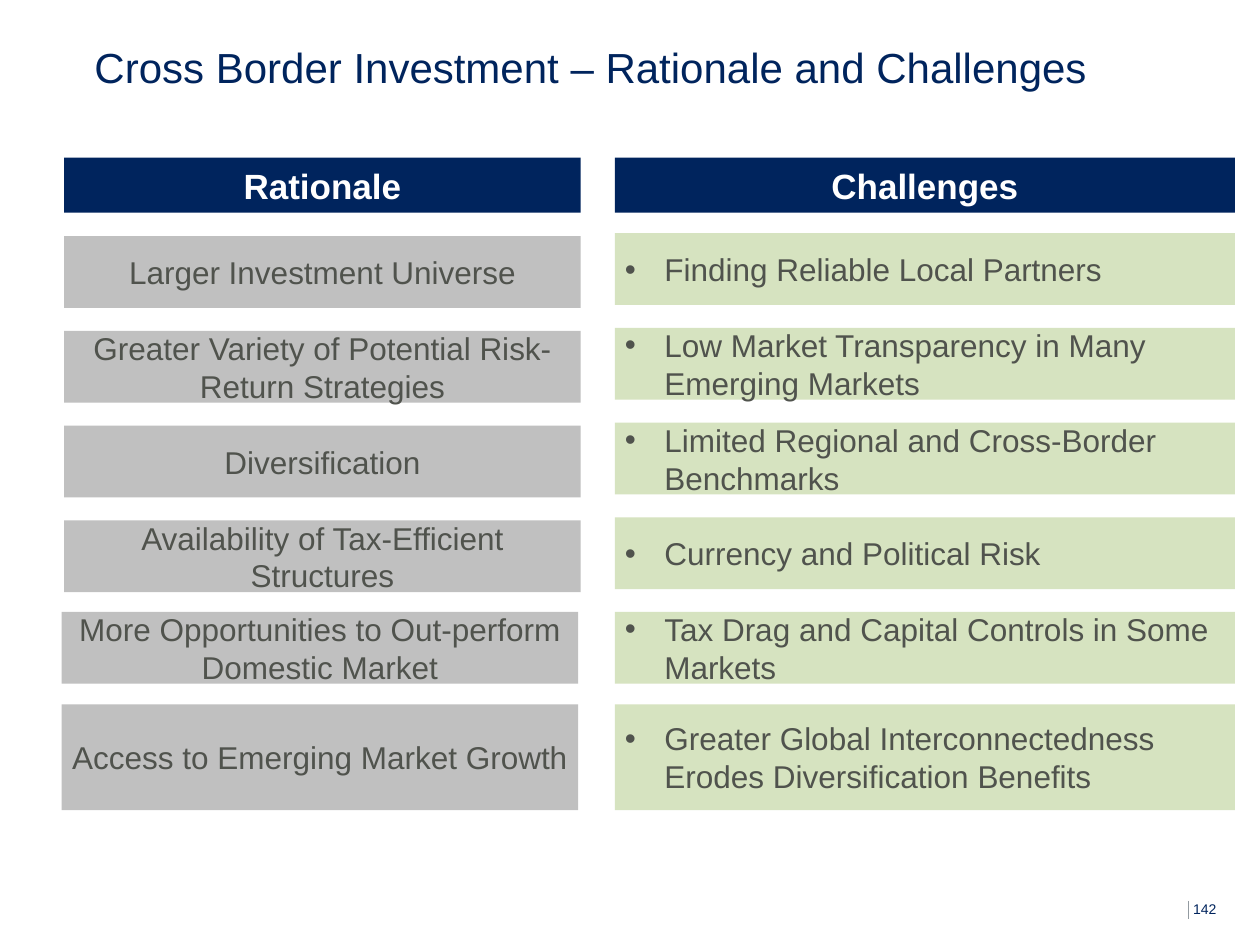
from lxml import etree
from pptx import Presentation
from pptx.dml.color import RGBColor
from pptx.enum import shapes, text
from pptx.oxml.ns import qn
from pptx.util import Pt

NAVY, WHITE, GREY, GREEN = "00245D", "FFFFFF", "C0C0C0", "D6E3C0"
BODY, RULE = "50534D", "939BA1"

LEFT_X, LEFT_WIDTH = 36.7, 295.2
RIGHT_X, RIGHT_WIDTH = 351.4, 354.2
LOWER_LEFT_X = 35.2
ROW_STEP, ROW_HEIGHT, LAST_HEIGHT = 54.15, 41, 60.5
LOWER_TOPS = [349.7, 402.5]

RATIONALE = [
    "Larger Investment Universe",
    "Greater Variety of Potential Risk-Return Strategies",
    "Diversification",
    "Availability of Tax-Efficient Structures",
    "More Opportunities to Out-perform Domestic Market",
    "Access to Emerging Market Growth",
]
CHALLENGES = [
    "Finding Reliable Local Partners",
    "Low Market Transparency in Many Emerging Markets",
    "Limited Regional and Cross-Border Benchmarks",
    "Currency and Political Risk",
    "Tax Drag and Capital Controls in Some Markets",
    "Greater Global Interconnectedness Erodes Diversification Benefits",
]


def color(value):
    return RGBColor.from_string(value)


def write(box, words, size, ink, inset, bold=False):
    """Put one run in the box and return its paragraph."""
    frame = box.text_frame
    frame.word_wrap = True
    frame.margin_left = frame.margin_right = Pt(inset[0])
    frame.margin_top = frame.margin_bottom = Pt(inset[1])
    para = frame.paragraphs[0]
    span = para.add_run()
    span.text = words
    span.font.name = "Arial"
    span.font.size = Pt(size)
    span.font.bold = bold
    span.font.color.rgb = color(ink)
    return para


def add_label(page, x, y, width, height, words, size):
    box = page.shapes.add_textbox(Pt(x), Pt(y), Pt(width), Pt(height))
    write(box, words, size, NAVY, (0, 0))


def add_panel(page, x, y, width, height, fill):
    panel = page.shapes.add_shape(
        shapes.MSO_SHAPE.RECTANGLE, Pt(x), Pt(y), Pt(width), Pt(height))
    panel.shadow.inherit = False
    panel.fill.solid()
    panel.fill.fore_color.rgb = color(fill)
    panel.line.fill.background()
    panel.text_frame.vertical_anchor = text.MSO_ANCHOR.MIDDLE
    return panel


def add_header(page, x, width, words):
    panel = add_panel(page, x, 90, width, 31.5, NAVY)
    para = write(panel, words, 20, WHITE, (7.2, 3.6), bold=True)
    para.alignment = text.PP_ALIGN.CENTER


def add_bullet(para):
    props = para._p.get_or_add_pPr()
    props.set("marL", str(Pt(22.5)))
    props.set("indent", str(Pt(-22.5)))
    etree.SubElement(props, qn("a:buFont")).set("typeface", "Arial")
    etree.SubElement(props, qn("a:buChar")).set("char", "•")


def add_column(page, xs, first_top, width, fill, items, bulleted):
    """Stack the items; the last is taller and the last two share set tops."""
    tops = [first_top + ROW_STEP * row for row in range(4)] + LOWER_TOPS
    heights = [ROW_HEIGHT] * 5 + [LAST_HEIGHT]
    for x, top, height, words in zip(xs, tops, heights, items):
        panel = add_panel(page, x, top, width, height, fill)
        para = write(panel, words, 18, BODY, (5.7, 3.6))
        if bulleted:
            para.alignment = text.PP_ALIGN.LEFT
            add_bullet(para)
        else:
            para.alignment = text.PP_ALIGN.CENTER


def add_page_number(page, number):
    rule = page.shapes.add_connector(
        shapes.MSO_CONNECTOR.STRAIGHT, Pt(679), Pt(514.8), Pt(679), Pt(525))
    rule.line.color.rgb = color(RULE)
    rule.line.width = Pt(0.5)
    etree.SubElement(rule._element.spPr, qn("a:effectLst"))
    add_label(page, 681.8, 514.8, 28.8, 15, number, 8)


def main():
    deck = Presentation()
    deck.slide_width, deck.slide_height = Pt(720), Pt(540)
    page = deck.slides.add_slide(deck.slide_layouts[6])

    add_page_number(page, "142")
    add_label(page, 54, 23.8, 606, 71,
              "Cross Border Investment – Rationale and Challenges", 24)
    add_header(page, LEFT_X, LEFT_WIDTH, "Rationale")
    add_header(page, RIGHT_X, RIGHT_WIDTH, "Challenges")
    add_column(page, [LEFT_X] * 4 + [LOWER_LEFT_X] * 2, 135, LEFT_WIDTH,
               GREY, RATIONALE, bulleted=False)
    add_column(page, [RIGHT_X] * 6, 133.3, RIGHT_WIDTH,
               GREEN, CHALLENGES, bulleted=True)
    deck.save("out.pptx")


if __name__ == "__main__":
    main()
